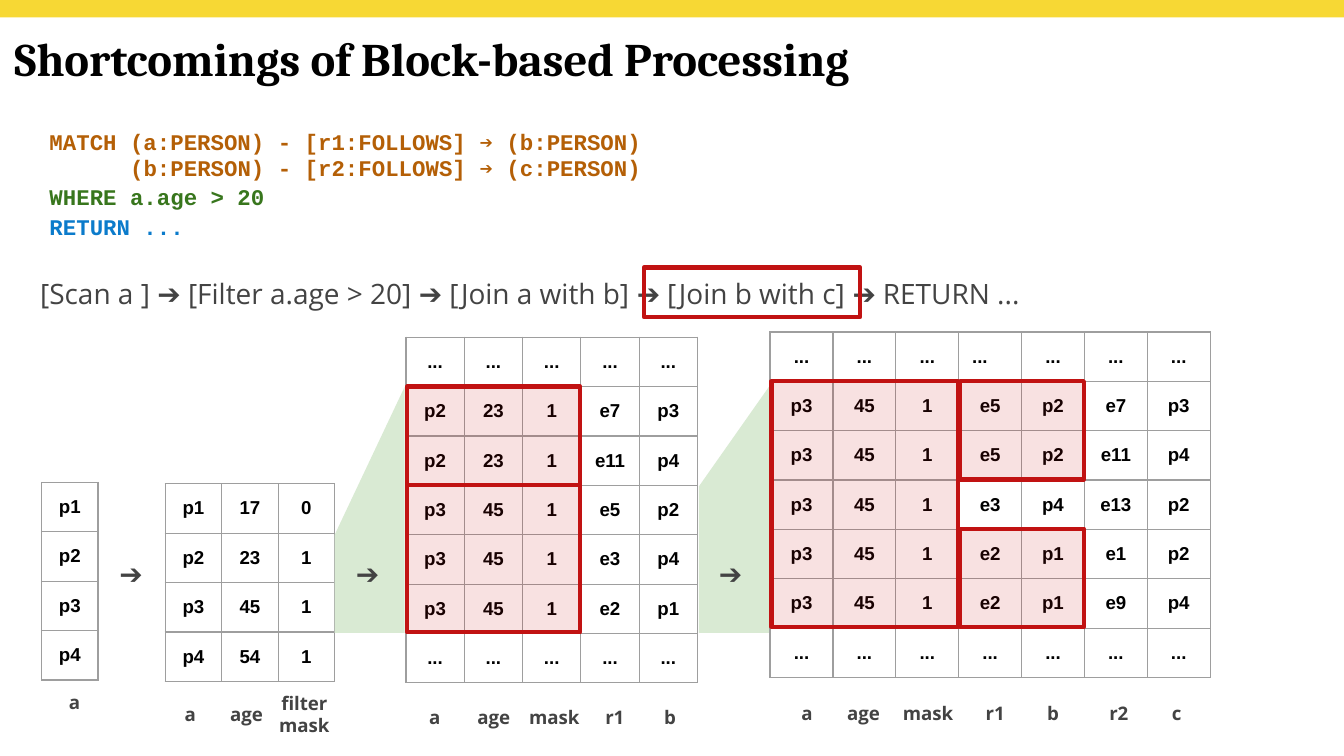
from pptx import Presentation
from pptx.dml.color import RGBColor as Rgb
from pptx.enum.shapes import MSO_SHAPE as Kind
from pptx.enum.text import MSO_ANCHOR as Anchor, PP_ALIGN as Align
from pptx.oxml.ns import qn
from pptx.util import Inches, Pt
from lxml.etree import SubElement as Sub

ROW = 3.66
GRAY, RED = "434343", "C11212"
MONO, SANS = "Courier New", "Open Sans"


def unit(n):
    return Inches(n / 10)


def hue(code):
    return Rgb.from_string(code)


def add_run(para, text, size, face, color, bold=False):
    run = para.add_run()
    run.text = text
    font = run.font
    font.size, font.name, font.bold = Pt(size), face, bold
    font.color.rgb = hue(color)


def add_text(slide, box, top=1):
    frame = slide.shapes.add_textbox(*map(unit, box)).text_frame
    frame.word_wrap = True
    frame.margin_left = frame.margin_right = frame.margin_bottom = unit(1)
    frame.margin_top = unit(top)
    return frame


def add_rect(slide, box, fill=None, line=None, alpha=None):
    rect = slide.shapes.add_shape(Kind.RECTANGLE, *map(unit, box))
    rect.shadow.inherit = False
    if fill:
        rect.fill.solid()
        rect.fill.fore_color.rgb = hue(fill)
    else:
        rect.fill.background()
    if alpha:
        tint = rect.fill._xPr.find(qn("a:solidFill"))[0]
        Sub(tint, qn("a:alpha"), val=str(alpha * 1000))
    if line:
        rect.line.color.rgb = hue(line)
        rect.line.width = Pt(2.25)
    else:
        rect.line.fill.background()


def add_flow(slide, box, text):
    para = add_text(slide, box).paragraphs[0]
    para.line_spacing, para.space_after = 1.15, Pt(10)
    add_run(para, text, 15, SANS, GRAY)


def add_head(slide, box):
    left, top, wide, high = box
    add_rect(slide, (left, top, wide, 1.3), "F7D834")
    para = add_text(slide, (left + 0.1, top + 1.2, 74, high - 1.2)).paragraphs[0]
    add_run(para, "Shortcomings of Block-based Processing", 25, "Cambria", "000000", True)


def add_query(slide, box):
    frame = add_text(slide, box)
    lines = [
        ("B45F06", 0, 0, ["MATCH (a:PERSON) - [r1:FOLLOWS] ", "➔", " (b:PERSON)"]),
        ("B45F06", 6, 0, ["(b:PERSON) - [r2:FOLLOWS] ", "➔", " (c:PERSON)"]),
        ("38761D", 0, 1.2, ["WHERE a.age > 20"]),
        ("0B7BCB", 0, 1.2, ["RETURN ..."]),
    ]
    for i, (color, inset, gap, parts) in enumerate(lines):
        para = frame.add_paragraph() if i else frame.paragraphs[0]
        para.space_before = Pt(gap)
        para._p.get_or_add_pPr().set("marL", str(unit(inset)))
        for part in parts:
            add_run(para, part, 12, MONO, color, part != "➔")


def add_plan(slide, box):
    add_flow(slide, box, "[Scan a ] ➔ [Filter a.age > 20] ➔ [Join a with b] "
             "➔ [Join b with c] ➔ RETURN ...")
    left, top, wide, high = box
    add_rect(slide, (left + 45.9, top + 0.7, 16.1, 3.7), line=RED)


def add_edge(cell):
    props = cell._tc.get_or_add_tcPr()
    for i, side in enumerate(("lnL", "lnR", "lnT", "lnB")):
        edge = props.makeelement(qn("a:" + side), {"w": str(Pt(0.75))})
        props.insert(i, edge)
        Sub(Sub(edge, qn("a:solidFill")), qn("a:srgbClr"), val="9E9E9E")


def add_grid(slide, box, rows):
    high, wide = len(rows), len(rows[0])
    table = slide.shapes.add_table(high, wide, *map(unit, box)).table
    table.first_row = table.horz_banding = False
    for col in table.columns:
        col.width = unit(box[2] / wide)
    for y, row in enumerate(rows):
        table.rows[y].height = unit(ROW)
        for x, text in enumerate(row):
            cell = table.cell(y, x)
            cell.fill.background()
            cell.vertical_anchor = Anchor.MIDDLE
            cell.margin_left = cell.margin_right = unit(1)
            cell.margin_top = cell.margin_bottom = unit(1)
            para = cell.text_frame.paragraphs[0]
            loose = wide == 7 and (y, x) == (0, 3)
            para.alignment = Align.LEFT if loose else Align.CENTER
            add_run(para, text, 10, "Arial", "000000", True)
            add_edge(cell)


def add_wedge(slide, box, drop):
    left, top, wide, high = box
    ends = [(left + wide, top), (left + wide, top + high), (left, top + high)]
    path = slide.shapes.build_freeform(unit(left), unit(top + drop))
    path.add_line_segments([tuple(map(unit, end)) for end in ends])
    wedge = path.convert_to_shape()
    wedge.shadow.inherit = False
    wedge.fill.solid()
    wedge.fill.fore_color.rgb = hue("D9EAD3")
    wedge.line.fill.background()


def add_names(slide, top, names):
    for left, name in names:
        frame = add_text(slide, (left, top, 6.3, 4.3), 0.8)
        frame.vertical_anchor = Anchor.MIDDLE
        para = frame.paragraphs[0]
        para.alignment = Align.CENTER
        for i, word in enumerate(name.split()):
            if i:
                para.add_line_break()
            add_run(para, word, 10, SANS, GRAY, True)


def add_stage(slide, spot, step, rows, base, names, arrow=None, drop=None, marks=()):
    left, top = spot
    wide = len(rows[0])
    add_grid(slide, (left, top, wide * step, len(rows) * ROW), rows)
    add_names(slide, base, names)
    if drop:
        add_wedge(slide, (left - 5.3, 28.8, 5.2, 18.3), drop)
    if arrow:
        add_flow(slide, (arrow, 40, 4.2, 4.5), "➔")
    for x, y, cols, tall in marks:
        box = (left + x * step + 0.1, top + y * ROW, cols * step - 0.15, tall * ROW)
        add_rect(slide, box, "CC0E0E", RED, 12)


def split(text):
    return [line.split() for line in text.split("/")]


def main():
    deck = Presentation()
    deck.slide_width = Inches(10)
    deck.slide_height = deck.slide_width * 9 // 16
    slide = deck.slides.add_slide(deck.slide_layouts[6])
    add_head(slide, (0, 0, 100, 7.4))
    add_query(slide, (2.7, 8.5, 47.4, 12))
    add_plan(slide, (2, 19.2, 76.9, 4.4))
    add_stage(slide, (3.1, 35.9), 4.2, split("p1/p2/p3/p4"), 50.2, [(2.4, "a")])
    add_stage(slide, (12.3, 36), 4.2,
              split("p1 17 0/p2 23 1/p3 45 1/p4 54 1"), 51.1,
              [(11, "a"), (15.2, "age"), (19.5, "filter mask")], 7.9)
    dots = "... " * 5
    add_stage(slide, (30.2, 25.1), 4.34,
              split(dots + "/p2 23 1 e7 p3/p2 23 1 e11 p4/p3 45 1 e5 p2"
                    "/p3 45 1 e3 p4/p3 45 1 e2 p1/" + dots), 51.3,
              [(29.2, "a"), (33.6, "age"), (38.1, "mask"), (42.6, "r1"), (46.7, "b")],
              25.5, 11, [(0, 1, 3, 2), (0, 3, 3, 3)])
    dots = "... " * 7
    add_stage(slide, (57.3, 24.7), 4.68,
              split(dots + "/p3 45 1 e5 p2 e7 p3/p3 45 1 e5 p2 e11 p4"
                    "/p3 45 1 e3 p4 e13 p2/p3 45 1 e2 p1 e1 p2"
                    "/p3 45 1 e2 p1 e9 p4/" + dots), 51,
              [(56.9, "a"), (61.1, "age"), (65.9, "mask"), (70.9, "r1"),
               (75.2, "b"), (80.1, "r2"), (84.4, "c")],
              52.5, 7.4, [(0, 1, 3, 5), (3, 1, 2, 2), (3, 4, 2, 2)])
    deck.save("out.pptx")


if __name__ == "__main__":
    main()
